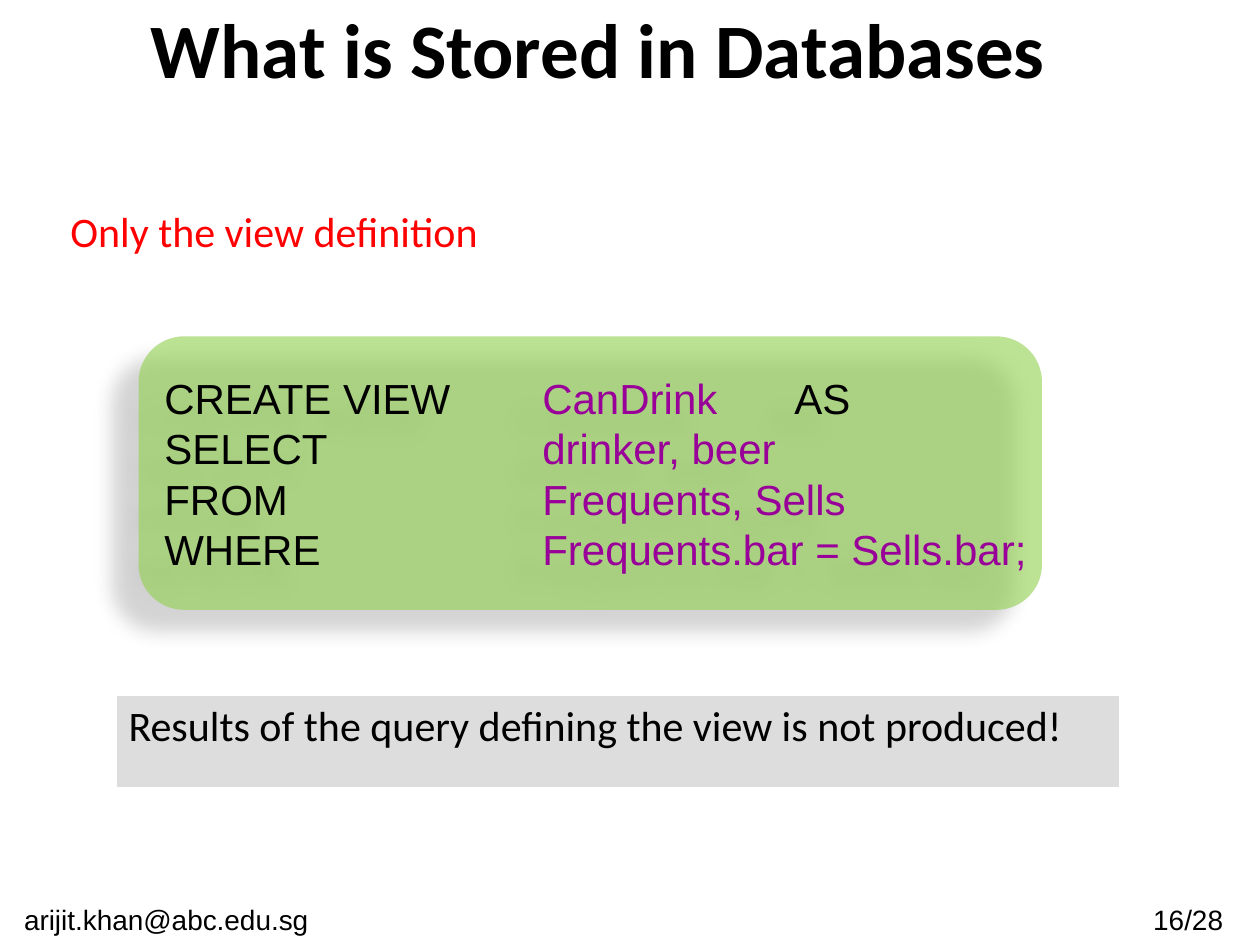
from dataclasses import dataclass

from lxml.etree import SubElement
from pptx import Presentation
from pptx.dml.color import RGBColor
from pptx.enum.shapes import MSO_SHAPE
from pptx.enum.text import MSO_ANCHOR, MSO_AUTO_SIZE, PP_ALIGN
from pptx.oxml.ns import qn
from pptx.util import Inches, Pt


@dataclass(frozen=True)
class Theme:
    heading: str = "Calibri"
    plain: str = "Arial"
    title_size: int = 44
    body_size: int = 24
    footer_size: int = 16
    ink: str = "000000"
    accent: str = "FF0000"
    name: str = "990099"
    panel: str = "92D050"
    note: str = "DDDDDD"
    border: str = "FFFFFF"


T = Theme()
COLS, ROWS = 100, 75  # grid of 0.1 inch cells
CELL = Inches(0.1)

VIEW_SQL = [
    [("CREATE VIEW\t", T.ink), ("CanDrink\t", T.name), ("AS", T.ink)],
    [("SELECT\t", T.ink), ("drinker, beer", T.name)],
    [("FROM\t", T.ink), ("Frequents, Sells", T.name)],
    [("WHERE\t", T.ink), ("Frequents.bar = Sells.bar;", T.name)],
]
SQL_TABS = (3, 5)  # inches from the text edge


def grid(*cells):
    """Turn left, top, width, height in grid cells into lengths."""
    return [round(c * CELL) for c in cells]


def add_run(p, text, font, size, color=T.ink, bold=False):
    r = p.add_run()
    r.text = text
    r.font.name, r.font.size, r.font.bold = font, Pt(size), bold
    r.font.color.rgb = RGBColor.from_string(color)


def add_color(parent, color, alpha=100):
    clr = SubElement(parent, qn("a:srgbClr"), val=color)
    if alpha < 100:
        SubElement(clr, qn("a:alpha"), val=str(alpha * 1000))


def add_title(s, text, box):
    sp = s.shapes.title
    sp.left, sp.top, sp.width, sp.height = grid(*box)
    tf = sp.text_frame
    tf.vertical_anchor = MSO_ANCHOR.MIDDLE
    p = tf.paragraphs[0]
    p.alignment = PP_ALIGN.CENTER
    add_run(p, text, T.heading, T.title_size, bold=True)


def add_text(s, text, box, font, size, color=T.ink, align=PP_ALIGN.LEFT):
    tf = s.shapes.add_textbox(*grid(*box)).text_frame
    tf.word_wrap = True
    tf.auto_size = MSO_AUTO_SIZE.SHAPE_TO_FIT_TEXT
    p = tf.paragraphs[0]
    p.alignment = align
    add_run(p, text, font, size, color)


def add_shadow(sp, alpha, blur, dist, angle):
    effects = SubElement(sp.element.spPr, qn("a:effectLst"))
    shadow = SubElement(
        effects, qn("a:outerShdw"), blurRad=str(Pt(blur)), dist=str(Pt(dist)),
        dir=str(angle * 60000), algn="ctr", rotWithShape="0")
    add_color(shadow, T.ink, alpha)


def add_code_panel(s, lines, box):
    sp = s.shapes.add_shape(MSO_SHAPE.ROUNDED_RECTANGLE, *grid(*box))
    sp.fill.solid()
    sp.fill.fore_color.rgb = RGBColor.from_string(T.panel)
    clr = sp.element.spPr.find(qn("a:solidFill")).find(qn("a:srgbClr"))
    SubElement(clr, qn("a:alpha"), val="61000")
    sp.line.fill.background()
    add_shadow(sp, alpha=28, blur=11.8, dist=19.7, angle=141)
    tf = sp.text_frame
    tf.word_wrap = False
    tf.vertical_anchor = MSO_ANCHOR.MIDDLE
    for i, line in enumerate(lines):
        p = tf.add_paragraph() if i else tf.paragraphs[0]
        p.alignment = PP_ALIGN.LEFT
        tabs = SubElement(p._p.get_or_add_pPr(), qn("a:tabLst"))
        for pos in SQL_TABS:
            SubElement(tabs, qn("a:tab"), pos=str(Inches(pos)), algn="l")
        for text, color in line:
            add_run(p, text, T.plain, T.body_size, color)


def add_note(s, text, box):
    table = s.shapes.add_table(1, 1, *grid(*box)).table
    table.first_row = table.horz_banding = False
    cell = table.cell(0, 0)
    add_run(cell.text_frame.paragraphs[0], text, T.heading, T.body_size)
    # Borders come before the fill in the cell properties
    tcPr = cell._tc.get_or_add_tcPr()
    for side in ("lnL", "lnR", "lnT", "lnB"):
        ln = SubElement(tcPr, qn(f"a:{side}"), w=str(Pt(1)))
        add_color(SubElement(ln, qn("a:solidFill")), T.border)
    cell.fill.solid()
    cell.fill.fore_color.rgb = RGBColor.from_string(T.note)


def main():
    prs = Presentation()
    prs.slide_width, prs.slide_height = COLS * CELL, ROWS * CELL
    s = prs.slides.add_slide(prs.slide_layouts[5])

    # Footer
    for text, left, width in (("16/28", 88.5, 11.6),
                              ("arijit.khan@abc.edu.sg", 0, 26.4)):
        add_text(s, text, (left, 71.1, width, 3.9), T.plain, T.footer_size,
                 align=PP_ALIGN.CENTER)

    # Heading and lead line
    add_title(s, "What is Stored in Databases", (2.5, 0, 90, 7.5))
    add_text(s, "Only the view definition", (4.6, 15.8, 93.2, 5),
             T.heading, T.body_size, T.accent)

    # View definition and remark
    add_code_panel(s, VIEW_SQL, (11, 26.7, 71.7, 21.7))
    add_note(s, "Results of the query defining the view is not produced!",
             (9.2, 55.2, 79.7, 7.3))
    prs.save("out.pptx")


if __name__ == "__main__":
    main()
